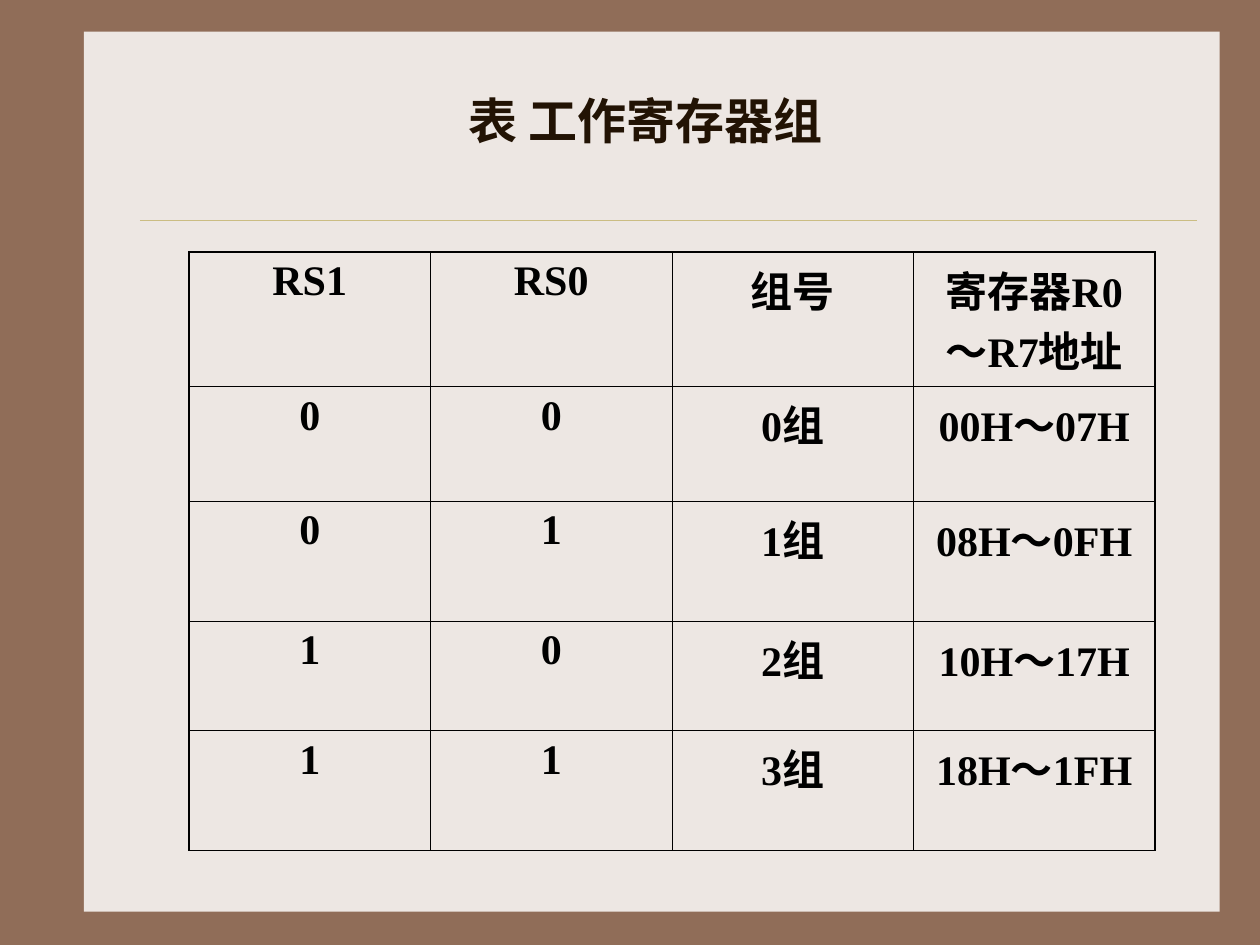
from pptx import Presentation
from pptx.dml.color import RGBColor
from pptx.enum.shapes import MSO_CONNECTOR as Connector, MSO_SHAPE as Shape
from pptx.enum.text import MSO_ANCHOR as Anchor, PP_ALIGN as Align
from pptx.oxml.ns import qn
from pptx.util import Pt
from lxml.etree import SubElement

COLORS = {
    "background": "906D58",
    "panel": "EDE7E3",
    "rule": "CBBD83",
    "title": "221304",
    "ink": "000000",
}
FONT = "Times New Roman"
THIN, THICK = 0.45, 1.08
COLUMN_WIDTH = 138
ROW_HEIGHTS = [65.5, 65.5, 65, 62.5, 65.5]
REGISTER_GROUPS = [
    ["RS1", "RS0", "组号", "寄存器R0～R7地址"],
    ["0", "0", "0组", "00H～07H"],
    ["0", "1", "1组", "08H～0FH"],
    ["1", "0", "2组", "10H～17H"],
    ["1", "1", "3组", "18H～1FH"],
]


def rgb(name):
    return RGBColor.from_string(COLORS[name])


def write_text(frame, text, size=24, color="ink", bold=True, align=Align.CENTER):
    frame.word_wrap = True
    paragraph = frame.paragraphs[0]
    paragraph.alignment = align
    run = paragraph.add_run()
    run.text = text
    run.font.name = FONT
    run.font.size = Pt(size)
    run.font.bold = bold
    run.font.color.rgb = rgb(color)


def add_background(slide):
    fill = slide.background.fill
    fill.solid()
    fill.fore_color.rgb = rgb("background")


def add_panel(slide, left, top, width, height):
    panel = slide.shapes.add_shape(
        Shape.RECTANGLE, Pt(left), Pt(top), Pt(width), Pt(height))
    panel.shadow.inherit = False
    panel.fill.solid()
    panel.fill.fore_color.rgb = rgb("panel")
    panel.line.fill.background()


def add_rule(slide, left, right, y):
    rule = slide.shapes.add_connector(
        Connector.STRAIGHT, Pt(left), Pt(y), Pt(right), Pt(y))
    rule.line.color.rgb = rgb("rule")
    rule.line.width = Pt(0.25)
    SubElement(rule.element.spPr, qn("a:effectLst"))


def add_title(slide, text, left, top, width, height):
    box = slide.shapes.add_textbox(Pt(left), Pt(top), Pt(width), Pt(height))
    write_text(box.text_frame, text, size=28, color="title")


def set_borders(cell, **widths):
    properties = cell._tc.get_or_add_tcPr()
    for side in ("L", "R", "T", "B"):
        line = SubElement(properties, qn(f"a:ln{side}"), w=str(Pt(widths[side])))
        fill = SubElement(line, qn("a:solidFill"))
        SubElement(fill, qn("a:srgbClr"), val=COLORS["ink"])


def add_table(slide, rows, left, top):
    last_row, last_column = len(rows) - 1, len(rows[0]) - 1
    table = slide.shapes.add_table(
        len(rows), len(rows[0]), Pt(left), Pt(top),
        Pt(COLUMN_WIDTH * len(rows[0])), Pt(sum(ROW_HEIGHTS))).table
    table.first_row = table.horz_banding = False
    for column in table.columns:
        column.width = Pt(COLUMN_WIDTH)
    for row, height in zip(table.rows, ROW_HEIGHTS):
        row.height = Pt(height)
    for i, texts in enumerate(rows):
        for j, text in enumerate(texts):
            cell = table.cell(i, j)
            cell.vertical_anchor = Anchor.TOP
            set_borders(
                cell,
                L=THICK if j == 0 else THIN,
                R=THICK if j == last_column else THIN,
                T=THICK if i == 0 else THIN,
                B=THICK if i == last_row else THIN)
            cell.fill.background()
            write_text(cell.text_frame, text)


def main():
    presentation = Presentation()
    presentation.slide_width = Pt(720)
    presentation.slide_height = Pt(540)
    slide = presentation.slides.add_slide(presentation.slide_layouts[6])
    add_background(slide)
    add_panel(slide, 48, 18, 649, 503)
    add_rule(slide, 80, 684, 126)
    add_table(slide, REGISTER_GROUPS, 108, 144)
    add_title(slide, "表 工作寄存器组", 96, 48, 546, 41)
    presentation.save("out.pptx")


if __name__ == "__main__":
    main()
